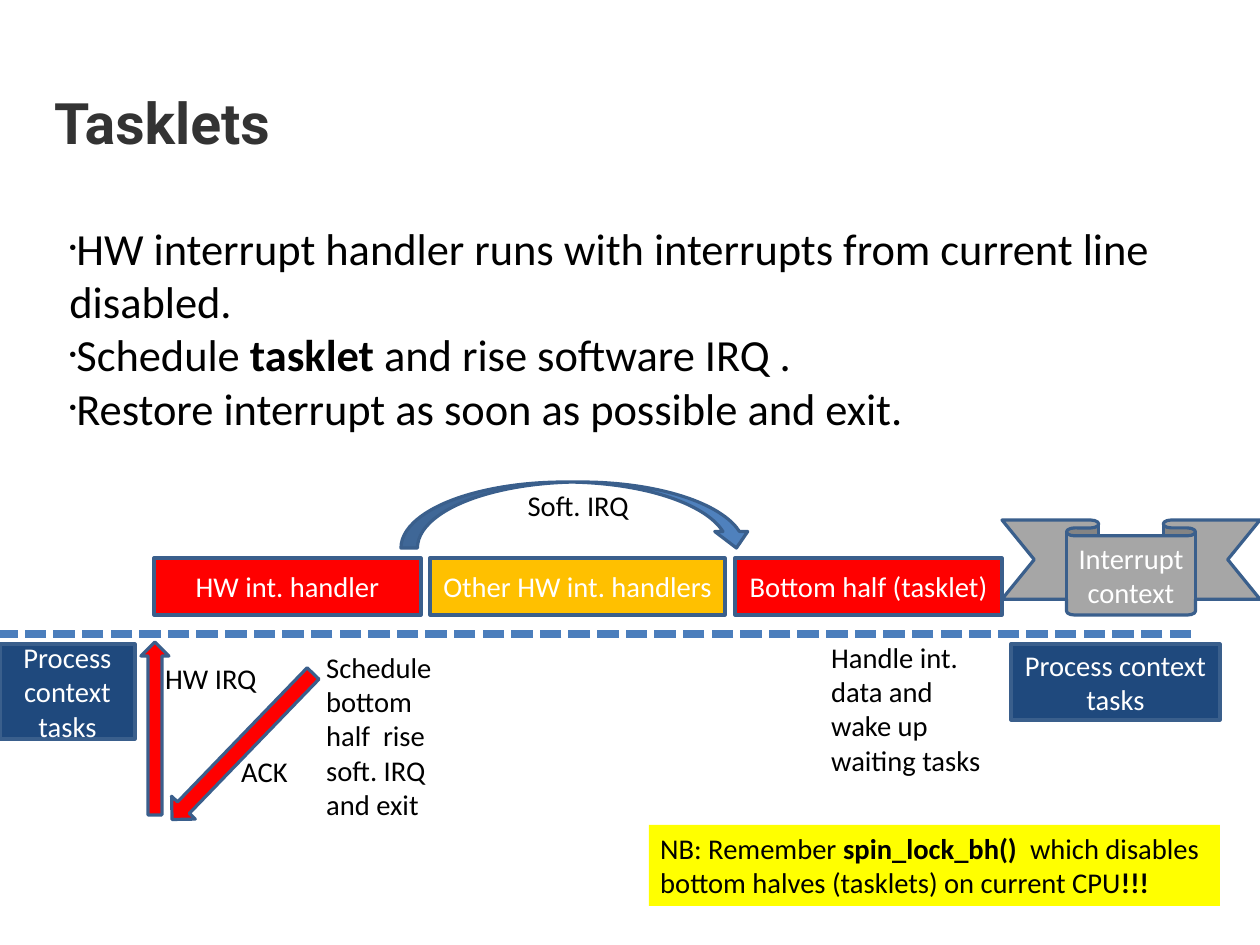
from dataclasses import dataclass

from lxml.etree import SubElement
from pptx import Presentation
from pptx.dml.color import RGBColor
from pptx.enum.dml import MSO_LINE
from pptx.enum.shapes import MSO_CONNECTOR, MSO_SHAPE
from pptx.enum.text import MSO_ANCHOR, MSO_AUTO_SIZE, PP_ALIGN
from pptx.oxml.ns import qn
from pptx.util import Emu, Pt

EMU_PER_PX = 8000  # 1260 by 945 px make a page of 28 by 21 cm
OUTLINE = "3A5F8C"
RED = "FF0000"
NAVY = "1F497D"
WHITE = "FFFFFF"
BLACK = "000000"

Spans = list[tuple[str, bool]]


@dataclass
class Block:
    area: tuple[int, int, int, int]
    fill: str
    text: str = ""
    kind: MSO_SHAPE = MSO_SHAPE.RECTANGLE
    rotation: int = 0


@dataclass
class Label:
    area: tuple[int, int, int, int]
    text: str
    align: PP_ALIGN = PP_ALIGN.LEFT


BULLETS: list[Spans] = [
    [("HW interrupt handler runs with interrupts from current line disabled.", False)],
    [("Schedule ", False), ("tasklet", True), (" and rise software IRQ .", False)],
    [("Restore interrupt as soon as possible and exit.", False)],
]

NOTE: Spans = [
    ("NB: Remember ", False),
    ("spin_lock_bh()  ", True),
    ("which disables bottom halves (tasklets) on current CPU", False),
    ("!!!", True),
]

CONTEXT_BLOCKS = [
    Block((0, 644, 135, 95), NAVY, "Process context tasks"),
    Block((154, 558, 267, 57), RED, "HW int. handler"),
    Block((430, 558, 295, 57), "FFC000", "Other HW int. handlers"),
    Block((735, 558, 267, 57), RED, "Bottom half (tasklet)"),
    Block((1011, 644, 209, 76), NAVY, "Process context tasks"),
]

LABELS = [
    Label((154, 655, 134, 47), "HW IRQ"),
    Label((230, 748, 77, 47), "ACK"),
    Label((315, 644, 134, 187), "Schedule bottom half  rise soft. IRQ and exit"),
    Label((506, 482, 134, 47), "Soft. IRQ", PP_ALIGN.RIGHT),
    Label((820, 634, 181, 152), "Handle int. data and wake up waiting tasks"),
]

ARROWS = [
    Block((141, 642, 28, 173), RED, kind=MSO_SHAPE.UP_ARROW),
    Block((226, 645, 33, 203), RED, kind=MSO_SHAPE.UP_ARROW, rotation=224),
]

BANNERS = [
    Block((1002, 520, 258, 95), "A6A6A6", "Interrupt context", MSO_SHAPE.DOWN_RIBBON),
    Block((401, 482, 352, 66), "4F81BD", kind=MSO_SHAPE.CURVED_DOWN_ARROW),
]


def px(length: int) -> Emu:
    return Emu(length * EMU_PER_PX)


def color(code: str) -> RGBColor:
    return RGBColor.from_string(code)


def place(shape, area: tuple[int, int, int, int]) -> None:
    shape.left, shape.top, shape.width, shape.height = map(px, area)


def format_para(para, size: int, code: str, align=PP_ALIGN.LEFT, face="Calibri") -> None:
    para.alignment = align
    para.space_before = Pt(0)
    para.font.name = face
    para.font.size = Pt(size)
    para.font.color.rgb = color(code)


def add_spans(para, spans: Spans) -> None:
    for text, bold in spans:
        span = para.add_run()
        span.text = text
        if bold:
            span.font.bold = True


def add_title(page) -> None:
    title = page.shapes.title
    place(title, (54, 81, 1053, 81))
    frame = title.text_frame
    frame.auto_size = MSO_AUTO_SIZE.NONE
    frame.vertical_anchor = MSO_ANCHOR.MIDDLE
    frame.margin_left = frame.margin_right = frame.margin_top = frame.margin_bottom = 0
    frame.text = "Tasklets"
    para = frame.paragraphs[0]
    format_para(para, 36, "333333", face="Roboto")
    para.font.bold = True


def add_bullets(page) -> None:
    body = page.placeholders[1]
    place(body, (58, 215, 1143, 341))
    frame = body.text_frame
    frame.auto_size = MSO_AUTO_SIZE.NONE
    for index, spans in enumerate(BULLETS):
        para = frame.add_paragraph() if index else frame.paragraphs[0]
        add_spans(para, spans)
        # Small bullet without a hanging indent
        properties = para._p.get_or_add_pPr()
        properties.set("marL", "0")
        properties.set("indent", "0")
        SubElement(properties, qn("a:buSzPct"), val="45000")
        SubElement(properties, qn("a:buChar"), char="•")
        format_para(para, 28, BLACK)


def add_block(page, block: Block):
    shape = page.shapes.add_shape(block.kind, *map(px, block.area))
    shape.shadow.inherit = False
    shape.rotation = block.rotation
    shape.fill.solid()
    shape.fill.fore_color.rgb = color(block.fill)
    shape.line.color.rgb = color(OUTLINE)
    shape.line.width = Pt(2)
    if block.text:
        shape.text_frame.text = block.text
        format_para(shape.text_frame.paragraphs[0], 18, WHITE, PP_ALIGN.CENTER)
    return shape


def add_label(page, label: Label) -> None:
    box = page.shapes.add_textbox(*map(px, label.area))
    box.text_frame.word_wrap = True
    box.text_frame.text = label.text
    format_para(box.text_frame.paragraphs[0], 18, BLACK, label.align)


def add_context_border(page) -> None:
    border = page.shapes.add_connector(
        MSO_CONNECTOR.STRAIGHT, px(1191), px(634), px(0), px(634))
    border.line.color.rgb = color("4B7EBC")
    border.line.width = Pt(4.5)
    border.line.dash_style = MSO_LINE.SQUARE_DOT
    SubElement(border._element.spPr, qn("a:effectLst"))


def add_note(page) -> None:
    note = add_block(page, Block((649, 825, 571, 81), "FFFF00"))
    note.line.fill.background()
    note.text_frame.vertical_anchor = MSO_ANCHOR.TOP
    para = note.text_frame.paragraphs[0]
    add_spans(para, NOTE)
    format_para(para, 18, BLACK)


def main() -> None:
    deck = Presentation()
    deck.slide_width, deck.slide_height = px(1260), px(945)
    page = deck.slides.add_slide(deck.slide_layouts[1])

    # Heading and list
    add_title(page)
    add_bullets(page)

    # Interrupt timeline
    for block in CONTEXT_BLOCKS:
        add_block(page, block)
    for label in LABELS:
        add_label(page, label)
    for arrow in ARROWS:
        add_block(page, arrow)
    add_context_border(page)

    # Note and banners
    add_note(page)
    for banner in BANNERS:
        add_block(page, banner)

    deck.save("out.pptx")


if __name__ == "__main__":
    main()
